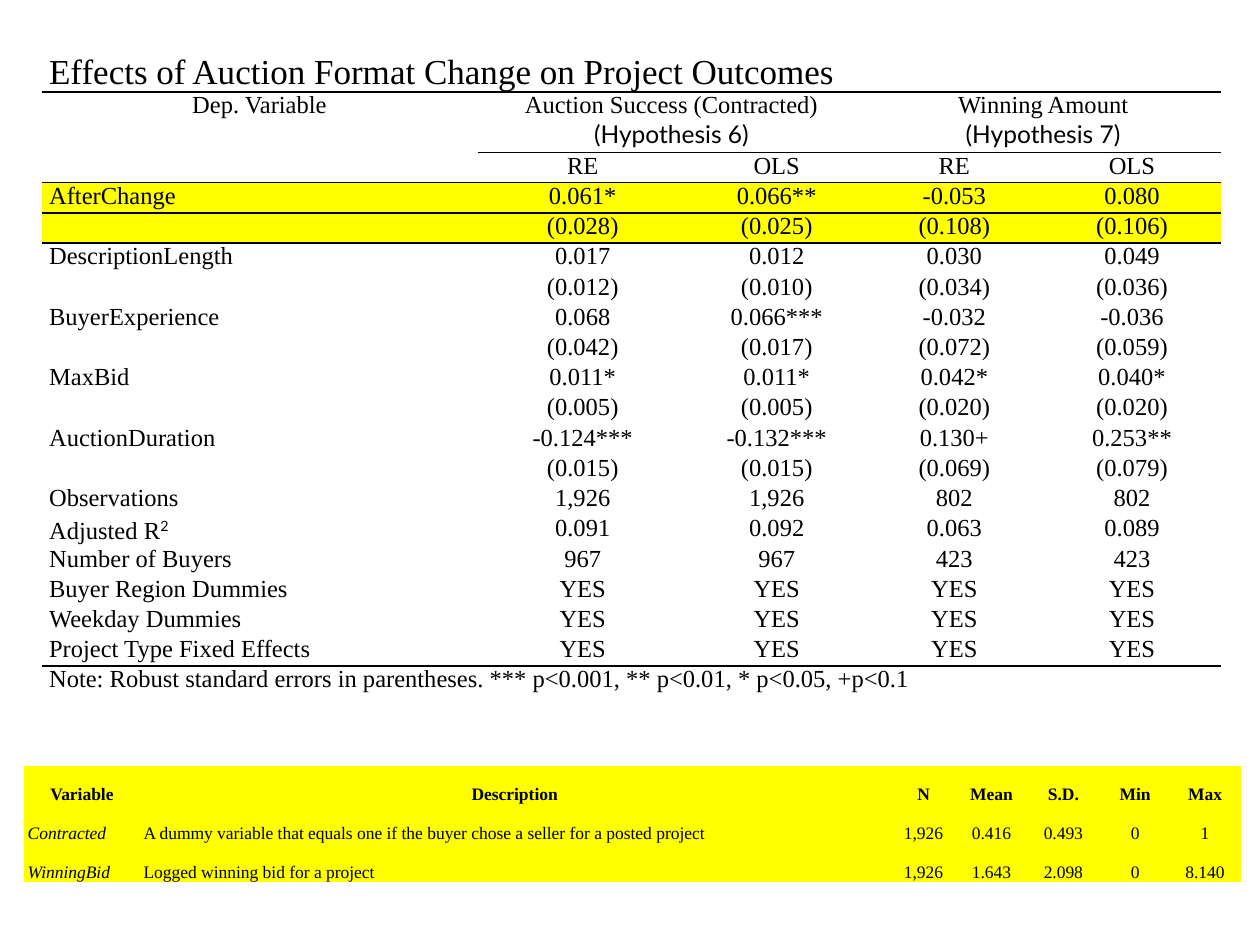
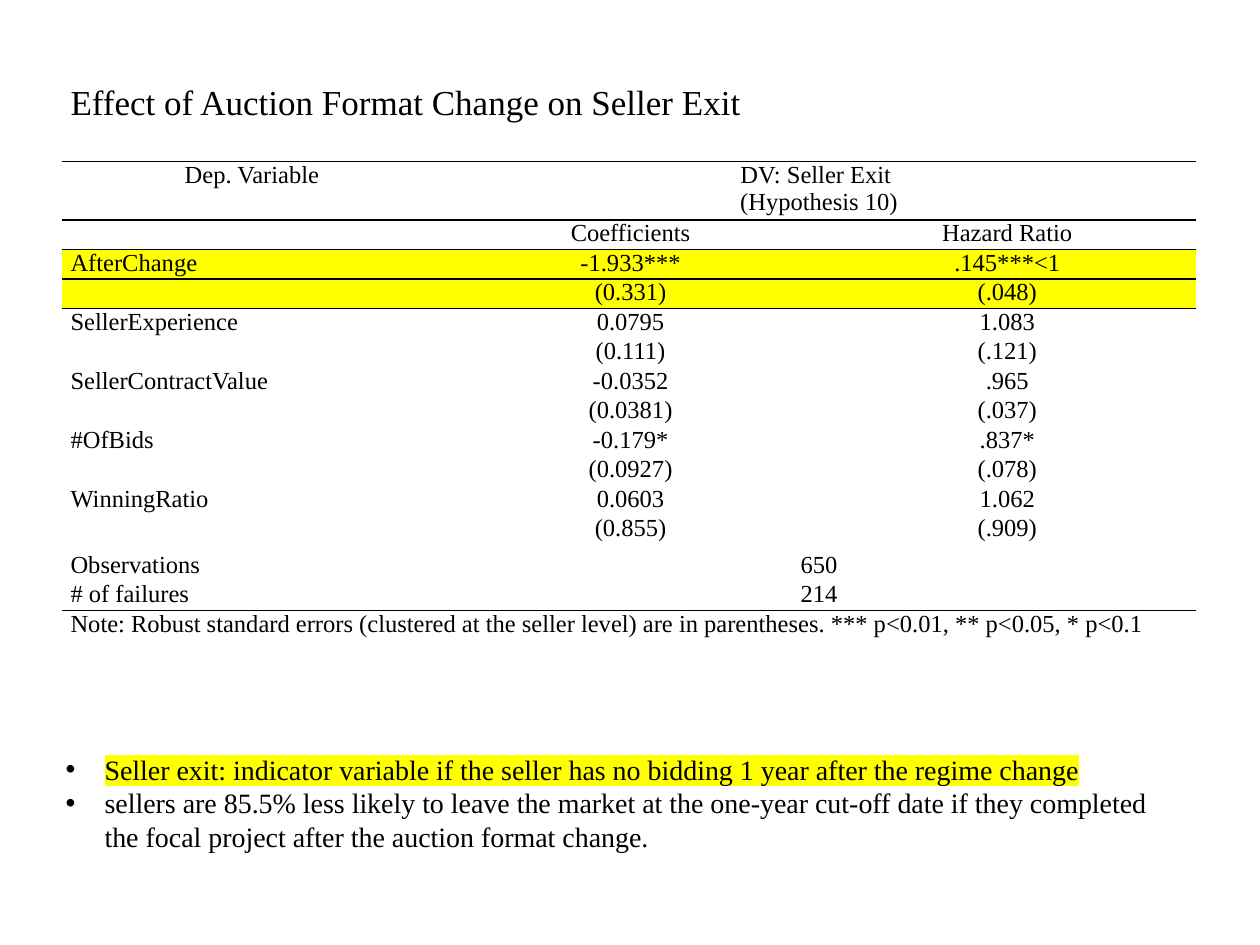
from lxml import etree
from pptx import Presentation
from pptx.dml.color import RGBColor
from pptx.enum.text import MSO_AUTO_SIZE as AutoSize, MSO_ANCHOR as Anchor, PP_ALIGN as Align
from pptx.oxml.ns import qn
from pptx.util import Inches, Pt

SERIF, SANS = "Times New Roman", "Lato"
BLACK, YELLOW = "000000", "FFFF00"
PLAIN_STYLE = "{2D5ABB26-0587-4C30-8999-92F81FD0307C}"
rgb = RGBColor.from_string


def add_solid(parent, tag, color):
    """Append an element that holds a plain colour."""
    holder = etree.SubElement(parent, qn(tag))
    etree.SubElement(holder, qn("a:srgbClr"), val=color)
    return holder


def add_grid(page, left, top, widths, heights, lines, size, inset,
             header=1, left_columns=1, merges=(), rules=(), marked=()):
    """Add a table; rows above the header row hold the title, rules are (row, first column)."""
    frame = page.shapes.add_table(len(lines), len(widths), Inches(left), Inches(top),
                                  Inches(sum(widths)), Inches(sum(heights)))
    table = frame.table
    table.first_row = table.horz_banding = False
    table._tbl.tblPr.find(qn("a:tableStyleId")).text = PLAIN_STYLE
    for column, width in zip(table.columns, widths):
        column.width = Inches(width)
    for row, height in zip(table.rows, heights):
        row.height = Inches(height)

    # Text
    for r, line in enumerate(lines):
        texts = line.split("|")
        for c in range(len(widths)):
            cell = table.cell(r, c)
            cell.margin_left = cell.margin_right = Inches(inset)
            cell.margin_top = cell.margin_bottom = 0
            cell.text_frame.text = texts[c] if c < len(texts) else ""
            for para in cell.text_frame.paragraphs:
                is_left = c < left_columns and r != header
                para.alignment = Align.LEFT if is_left else Align.CENTER
                for span in para.runs:
                    span.font.name = SERIF
                    span.font.size = Pt(20 if r < header else size)
                    span.font.color.rgb = rgb(BLACK)
                if not para.runs:
                    etree.SubElement(para._p, qn("a:endParaRPr"), sz=str(size * 100))
    for first_row, first_col, last_row, last_col in merges:
        table.cell(first_row, first_col).merge(table.cell(last_row, last_col))

    # Rules, set on both cells that meet at the line
    for r, first_col in rules:
        for c in range(first_col, len(widths)):
            for row, side in ((r, "a:lnB"), (r + 1, "a:lnT")):
                properties = table.cell(row, c)._tc.get_or_add_tcPr()
                border = etree.SubElement(properties, qn(side), w=str(Pt(1)))
                add_solid(border, "a:solidFill", BLACK)

    # Highlighted rows
    for r in range(len(lines)):
        for c in range(len(widths)):
            fill = table.cell(r, c).fill
            if r in marked:
                fill.solid()
                fill.fore_color.rgb = rgb(YELLOW)
            else:
                fill.background()
    return table


deck = Presentation()
deck.slide_width, deck.slide_height = Inches(10), Inches(7.5)

# Slide 1: project outcomes
page = deck.slides.add_slide(deck.slide_layouts[6])
outcome_lines = [
    "Effects of Auction Format Change on Project Outcomes",
    "Dep. Variable|Auction Success (Contracted)\n(Hypothesis 6)||Winning Amount\n(Hypothesis 7)",
    "|RE|OLS|RE|OLS",
    "AfterChange|0.061*|0.066**|-0.053|0.080",
    "|(0.028)|(0.025)|(0.108)|(0.106)",
    "DescriptionLength|0.017|0.012|0.030|0.049",
    "|(0.012)|(0.010)|(0.034)|(0.036)",
    "BuyerExperience|0.068|0.066***|-0.032|-0.036",
    "|(0.042)|(0.017)|(0.072)|(0.059)",
    "MaxBid|0.011*|0.011*|0.042*|0.040*",
    "|(0.005)|(0.005)|(0.020)|(0.020)",
    "AuctionDuration|-0.124***|-0.132***|0.130+|0.253**",
    "|(0.015)|(0.015)|(0.069)|(0.079)",
    "Observations|1,926|1,926|802|802",
    "Adjusted R|0.091|0.092|0.063|0.089",
    "Number of Buyers|967|967|423|423",
    "Buyer Region Dummies|YES|YES|YES|YES",
    "Weekday Dummies|YES|YES|YES|YES",
    "Project Type Fixed Effects|YES|YES|YES|YES",
    "Note: Robust standard errors in parentheses. *** p<0.001, ** p<0.01, * p<0.05, +p<0.1",
]
outcomes = add_grid(
    page, 0.33, 0.42, [3.46, 1.67, 1.41, 1.41, 1.41], [0.31, 0.48] + [0.24] * 17 + [0.48],
    outcome_lines, size=14, inset=0.06,
    merges=[(0, 0, 0, 4), (1, 0, 2, 0), (1, 1, 1, 2), (1, 3, 1, 4), (19, 0, 19, 4)],
    rules=[(0, 0), (1, 3), (2, 0), (3, 0), (18, 0)], marked=(3, 4))
for c in (1, 3):
    outcomes.cell(1, c).text_frame.paragraphs[1].runs[0].font.name = SANS

# Raised 2 of the adjusted R
square = outcomes.cell(14, 0).text_frame.paragraphs[0].add_run()
square.text = "2"
square.font.name, square.font.size = SANS, Pt(14)
square.font.color.rgb = rgb(BLACK)
square._r.get_or_add_rPr().set("baseline", "30000")

# Variable descriptions
variable_lines = [
    "Variable|Description|N|Mean|S.D.|Min|Max",
    "Contracted|A dummy variable that equals one if the buyer chose a seller for a posted project"
    "|1,926|0.416|0.493|0|1",
    "WinningBid|Logged winning bid for a project|1,926|1.643|2.098|0|8.140",
]
variables = add_grid(
    page, 0.19, 6.08, [0.92, 5.95, 0.54, 0.54, 0.6, 0.54, 0.57], [0.3] * 3,
    variable_lines, size=10, inset=0.03, header=0, left_columns=2, marked=range(3))
for r, row in enumerate(variables.rows):
    for c, cell in enumerate(row.cells):
        para = cell.text_frame.paragraphs[0]
        para.line_spacing = 2.0
        para.runs[0].font.bold = r == 0
        para.runs[0].font.italic = r > 0 and c == 0

# Slide 2: seller exit
page = deck.slides.add_slide(deck.slide_layouts[1])
title = page.shapes.title
title._element.getparent().remove(title._element)
exit_lines = [
    "Effect of Auction Format Change on Seller Exit",
    "Dep. Variable|DV: Seller Exit \n(Hypothesis 10)",
    "|Coefficients|Hazard Ratio",
    "AfterChange|-1.933***|.145***<1",
    "|(0.331)|(.048)",
    "SellerExperience|0.0795|1.083",
    "|(0.111)|(.121)",
    "SellerContractValue|-0.0352|.965",
    "|(0.0381)|(.037)",
    "#OfBids|-0.179*|.837*",
    "|(0.0927)|(.078)",
    "WinningRatio|0.0603|1.062",
    "|(0.855)|(.909)",
    "Observations|650",
    "# of failures|214",
    "Note: Robust standard errors (clustered at the seller level) are in parentheses. "
    "*** p<0.01, ** p<0.05, * p<0.1",
]
add_grid(
    page, 0.49, 0.67, [3.02, 2.99, 2.99], [0.61, 0.43] + [0.21] * 10 + [0.29, 0.21, 0.21, 0.29],
    exit_lines, size=14, inset=0.07,
    merges=[(0, 0, 0, 2), (1, 1, 1, 2), (13, 1, 13, 2), (14, 1, 14, 2), (15, 0, 15, 2)],
    rules=[(r, 0) for r in (0, 1, 2, 3, 14)], marked=(3, 4))

# Findings list
findings = page.placeholders[1]
findings.left, findings.top = Inches(0.42), Inches(5.92)
findings.width, findings.height = Inches(9.08), Inches(0.91)
frame = findings.text_frame
frame.text = (
    "Seller exit: indicator variable if the seller has no bidding 1 year after the regime change\n"
    "sellers are 85.5% less likely to leave the market at the one-year cut-off date if they "
    "completed the focal project after the auction format change.")
frame.word_wrap = True
frame.auto_size = AutoSize.SHAPE_TO_FIT_TEXT
frame.vertical_anchor = Anchor.TOP
for para in frame.paragraphs:
    properties = para._p.get_or_add_pPr()
    properties.set("marL", str(Inches(0.31)))
    properties.set("indent", str(-Inches(0.31)))
    etree.SubElement(properties, qn("a:buFont"), typeface="Arial")
    etree.SubElement(properties, qn("a:buChar"), char="•")
    para.space_before = Pt(0)
    font = para.runs[0].font
    font.size = Pt(16)
    font.color.rgb = rgb(BLACK)
    if para._p is frame.paragraphs[0]._p:
        add_solid(para.runs[0]._r.get_or_add_rPr(), "a:highlight", YELLOW)
    font.name = SERIF

deck.save("out.pptx")
